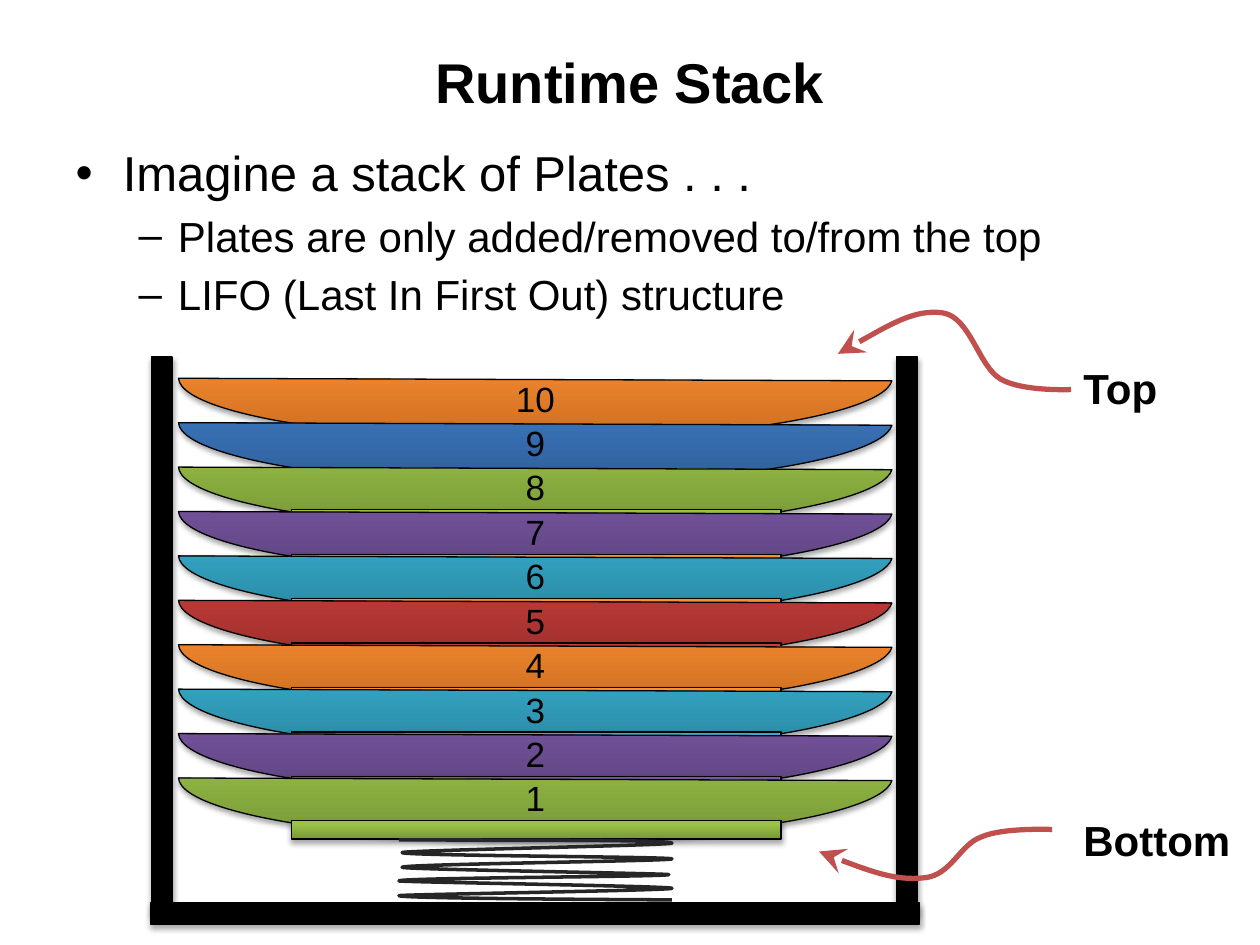
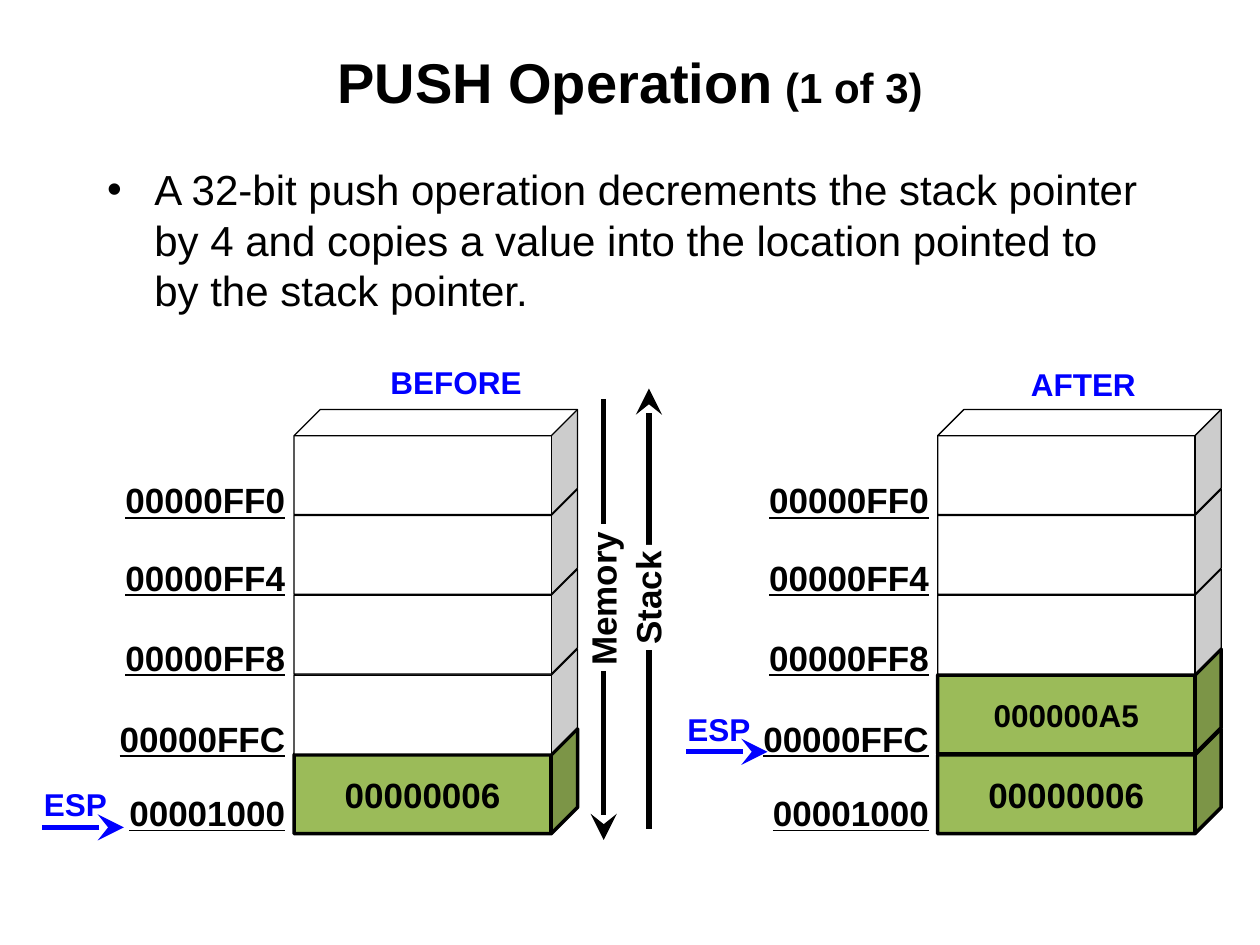
from dataclasses import dataclass

from lxml import etree
from pptx import Presentation
from pptx import util as u
from pptx.dml.color import RGBColor
from pptx.enum import shapes, text
from pptx.oxml.ns import qn


@dataclass(frozen=True)
class Theme:
    font: str = "Arial"
    black: str = "000000"
    white: str = "FFFFFF"
    blue: str = "0000FF"
    green: str = "9BBB59"
    spring: str = "262626"
    pointer: str = "C0504D"
    orange: tuple = ("CC6E20", "FF9034")
    navy: tuple = ("2F5F99", "3D7CC7")
    lime: tuple = ("779737", "9BC348")
    purple: tuple = ("5F4480", "7B58A6")
    teal: tuple = ("2A88A2", "37B1D2")
    red: tuple = ("9C2F2D", "CB3E3A")
    title: int = 32
    lead: int = 28
    body: int = 24
    value: int = 20
    small: int = 18


theme = Theme()
presentation = Presentation()
presentation.slide_width, presentation.slide_height = u.Inches(10), u.Inches(7.5)
COLUMN = presentation.slide_width / 120
ROW = presentation.slide_height / 90
preset = shapes.MSO_SHAPE
align = text.PP_ALIGN
anchor = text.MSO_ANCHOR
FIT = {"word_wrap": False, "auto_size": text.MSO_AUTO_SIZE.SHAPE_TO_FIT_TEXT}
shadowed = []
arrows = []


def add_box(slide, kind, grid_box, fill=None, line=None, **frame_format):
    left, top, width, height = grid_box
    place = [round(n) for n in (left * COLUMN, top * ROW, width * COLUMN, height * ROW)]
    if kind is None:
        shape = slide.shapes.add_textbox(*place)
    else:
        shape = slide.shapes.add_shape(kind, *place)
        if isinstance(fill, tuple):
            shape.fill.gradient()
            shape.fill.gradient_angle = 90
            for stop, position, color in zip(shape.fill.gradient_stops, (0, 0.8), fill):
                stop.position = position
                stop.color.rgb = RGBColor.from_string(color)
        else:
            shape.fill.solid()
            shape.fill.fore_color.rgb = RGBColor.from_string(fill)
        if line:
            shape.line.color.rgb = RGBColor.from_string(theme.black)
            shape.line.width = u.Pt(line)
        else:
            shape.line.fill.background()
        shape.shadow.inherit = False
    for name, value in frame_format.items():
        setattr(shape.text_frame, name, value)
    return shape


def write(paragraph, words, size, color=theme.black, alignment=align.LEFT, **font_format):
    paragraph.alignment = alignment
    run = paragraph.add_run()
    run.text = words
    run.font.color.rgb = RGBColor.from_string(color)
    for name, value in {"name": theme.font, "size": u.Pt(size), **font_format}.items():
        setattr(run.font, name, value)


pages = [
    ([("Runtime Stack", theme.title)], (6, 13, 108, 20),
     [("Imagine a stack of Plates . . .", theme.lead, 0),
      ("Plates are only added/removed to/from the top", theme.body, 1),
      ("LIFO (Last In First Out) structure", theme.body, 1)]),
    ([("PUSH Operation", theme.title), (" (1 of 3)", theme.body)], (9, 15, 102, 17),
     [("A 32-bit push operation decrements the stack pointer by 4 and copies a value "
       "into the location pointed to by the stack pointer.", theme.body, 0)]),
]
for title_runs, body_box, bullets in pages:
    slide = presentation.slides.add_slide(presentation.slide_layouts[1])
    title, body = slide.placeholders
    for placeholder, (left, top, width, height) in ((title, (6, 2, 108, 11.4)), (body, body_box)):
        placeholder.left, placeholder.top = round(left * COLUMN), round(top * ROW)
        placeholder.width, placeholder.height = round(width * COLUMN), round(height * ROW)
        placeholder.text_frame.auto_size = text.MSO_AUTO_SIZE.NONE
    title.text_frame.vertical_anchor = anchor.MIDDLE
    for words, size in title_runs:
        write(title.text_frame.paragraphs[0], words, size, alignment=align.CENTER, bold=True)
    for index, (words, size, level) in enumerate(bullets):
        paragraph = body.text_frame.add_paragraph() if index else body.text_frame.paragraphs[0]
        if not index:
            paragraph.space_before = u.Pt(0)
        paragraph.level = level
        write(paragraph, words, size)

plate_slide, push_slide = presentation.slides

plates = [
    (theme.orange, None), (theme.navy, None), (theme.lime, theme.lime),
    (theme.purple, theme.orange), (theme.teal, theme.orange), (theme.red, theme.red),
    (theme.orange, theme.orange), (theme.teal, theme.teal),
    (theme.purple, theme.purple), (theme.lime, theme.lime),
]
for index, (plate_fill, base_fill) in enumerate(plates):
    top = 30 + 4.23 * index
    plate = add_box(plate_slide, preset.CHORD, (17, top, 68, 11.9), plate_fill, 0.75,
                    vertical_anchor=anchor.BOTTOM, margin_top=0, margin_bottom=u.Inches(0.02))
    plate.adjustments[0], plate.adjustments[1] = 0.323, 107.928
    write(plate.text_frame.paragraphs[0], str(len(plates) - index), theme.value,
          alignment=align.CENTER)
    shadowed.append(plate)
    if base_fill:
        shadowed.append(add_box(plate_slide, preset.RECTANGLE,
                                (27.8, top + 10.1, 46.6, 1.75), base_fill, 0.75))

for words, top, width in (("Top", 33.9, 9.5), ("Bottom", 77, 16.5)):
    label = add_box(plate_slide, None, (102, top, width, 6), **FIT)
    write(label.text_frame.paragraphs[0], words, theme.body, bold=True)

spring = [
    (38, 80), (51, 80), (64, 80), (64, 80.3), (64.1, 80.5), (38.3, 81), (38.3, 81.2),
    (38.3, 81.5), (64, 81.6), (64, 81.8), (64, 82), (38.4, 82.3), (38.3, 82.6),
    (38.3, 82.8), (63.7, 83.2), (63.7, 83.3), (63.6, 83.5), (37.9, 83.6), (38, 83.9),
    (38, 84), (64, 84.4), (64, 84.6), (64, 84.8), (38, 85.2), (38, 85.3),
    (38, 85.6), (64, 85.7), (64, 85.7),
]
top_pointer = [
    (79.8, 33.7), (83.5, 31.6), (87.2, 29.4), (89.8, 29.8), (92.4, 30.2),
    (93.2, 34.9), (95.3, 36.1), (97.3, 37.3), (102, 37.1), (102, 37.1),
]
bottom_pointer = [
    (78, 81.1), (81.7, 82.6), (85.4, 83.9), (88, 83.6), (90.6, 83.4),
    (91.4, 80.4), (93.5, 79.7), (95.5, 78.8), (100.2, 79), (100.2, 79),
]
rack = [(14.4, 34, 2, 53), (85.4, 34, 2, 53), (14.35, 86, 73.2, 2)]
for controls, color, width in ((spring, theme.spring, 2), (top_pointer, theme.pointer, 3),
                               (bottom_pointer, theme.pointer, 3)):
    points = [(round(x * COLUMN), round(y * ROW)) for x, y in controls]
    builder = plate_slide.shapes.build_freeform(*points[0])
    builder.add_line_segments(points[3::3], close=False)
    outline = builder.convert_to_shape()
    for index, segment in enumerate(list(outline.element.iter(qn("a:lnTo")))):
        curve = etree.Element(qn("a:cubicBezTo"))
        for x, y in points[3 * index + 1:3 * index + 4]:
            etree.SubElement(curve, qn("a:pt"), x=str(x - outline.left), y=str(y - outline.top))
        segment.getparent().replace(segment, curve)
    outline.fill.background()
    outline.line.color.rgb = RGBColor.from_string(color)
    outline.line.width = u.Pt(width)
    if controls is spring:
        outline.shadow.inherit = False
        for bar in rack:
            shadowed.append(add_box(plate_slide, preset.RECTANGLE, bar, theme.black, 0.75))
    else:
        arrows.append((outline, "a:headEnd"))

for shape in shadowed:
    effects = shape.element.spPr.find(qn("a:effectLst"))
    shadow = etree.SubElement(effects, qn("a:outerShdw"), blurRad=str(u.Pt(3.1)),
                              dist=str(u.Pt(1.8)), dir="5400000", rotWithShape="0")
    color = etree.SubElement(shadow, qn("a:srgbClr"), val=theme.black)
    etree.SubElement(color, qn("a:alpha"), val="35000")

lines = [
    (57.5, 38, 57.5, 80, theme.black, "a:tailEnd"),
    (61.8, 37, 61.8, 79, theme.black, "a:headEnd"),
]
addresses = {"00001000": 74.8, "00000FFC": 67.75, "00000FF8": 60, "00000FF4": 52.4,
             "00000FF0": 45}
stacks = [
    ("BEFORE", (36, 34, 15, 4.8), 78.8, [("00000006", theme.value)]),
    ("AFTER", (97, 34.2, 12.5, 4.8), 71.6,
     [("00000006", theme.value), ("000000A5", theme.small)]),
]
for index, (heading, heading_box, pointer_row, values) in enumerate(stacks):
    shift = 61.3 * index
    for level in range(len(addresses)):
        used = level < len(values)
        cell = add_box(push_slide, preset.CUBE, (28 + shift, 69.4 - 7.6 * level, 27, 10),
                       theme.green if used else theme.white, 2 if used else 0.75,
                       vertical_anchor=anchor.MIDDLE)
        if used:
            write(cell.text_frame.paragraphs[0], *values[level],
                  alignment=align.CENTER, bold=True)
    for address, top in addresses.items():
        label = add_box(push_slide, None, (9.05 + shift, top, 19.3, 5.25), word_wrap=True)
        write(label.text_frame.paragraphs[0], address, theme.value,
              alignment=align.RIGHT, bold=True, underline=True)
    lines.append((11.8 + shift, pointer_row, 4 + shift, pointer_row, theme.blue, "a:headEnd"))
    for words, box in ((heading, heading_box), ("ESP", (3 + shift, pointer_row - 4.6, 8.4, 4.8))):
        label = add_box(push_slide, None, box, **FIT)
        write(label.text_frame.paragraphs[0], words, theme.small, theme.blue, bold=True)

for start_x, start_y, end_x, end_y, color, arrow_end in lines:
    connector = push_slide.shapes.add_connector(
        shapes.MSO_CONNECTOR.STRAIGHT, round(start_x * COLUMN), round(start_y * ROW),
        round(end_x * COLUMN), round(end_y * ROW))
    connector.line.color.rgb = RGBColor.from_string(color)
    connector.line.width = u.Pt(3)
    arrows.append((connector, arrow_end))

for words, left, width in (("Memory", 50.45, 14), ("Stack", 56.7, 10)):
    label = add_box(push_slide, preset.RECTANGLE, (left, 54.85, width, 4.1), theme.white,
                    margin_left=u.Inches(0.04), margin_right=u.Inches(0.04),
                    margin_top=0, margin_bottom=0, vertical_anchor=anchor.TOP, **FIT)
    label.rotation = 270
    write(label.text_frame.paragraphs[0], words, theme.value, bold=True)

for shape, arrow_end in arrows:
    properties = shape.element.spPr
    etree.SubElement(properties.find(qn("a:ln")), qn(arrow_end), type="stealth", w="lg", len="lg")
    etree.SubElement(properties, qn("a:effectLst"))

presentation.save("out.pptx")
